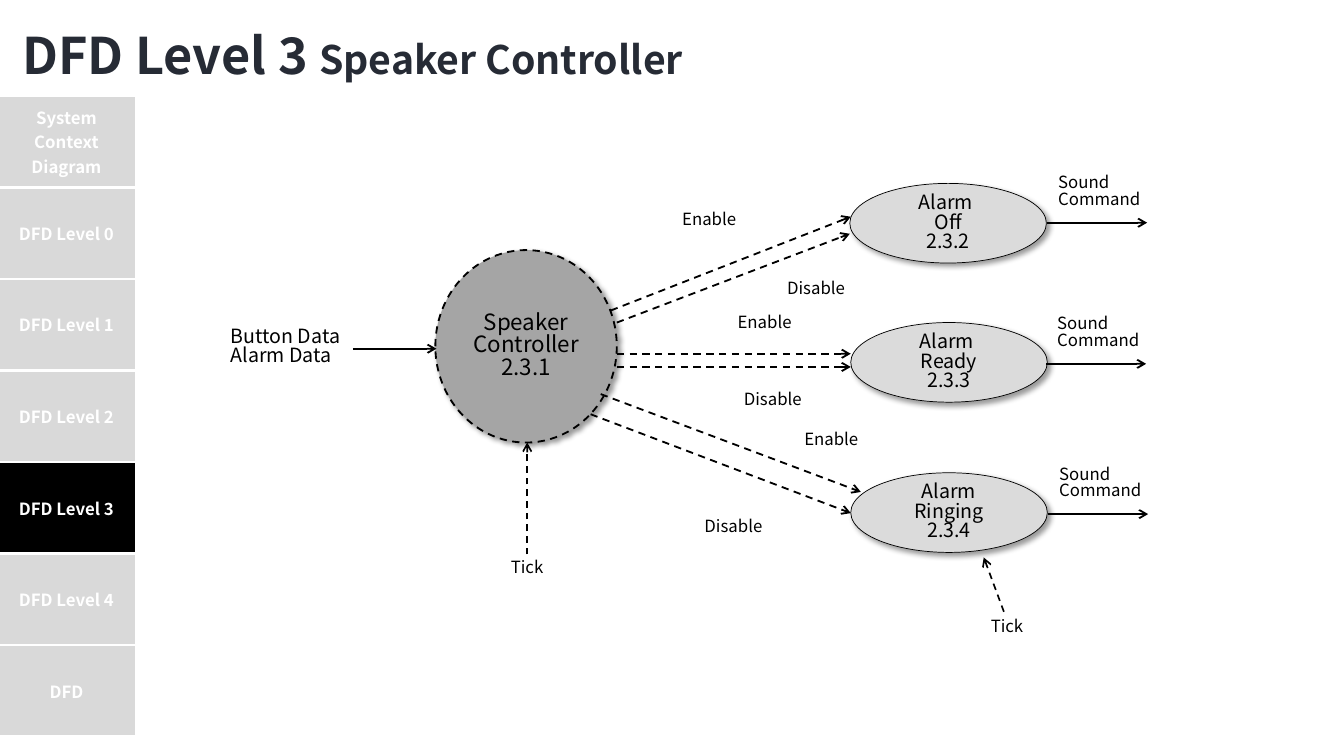
from pptx import Presentation
from pptx.dml.color import RGBColor as RGB
from pptx.enum.dml import MSO_LINE as Dash
from pptx.enum.shapes import MSO_CONNECTOR as Link, MSO_SHAPE as Form
from pptx.enum.text import MSO_ANCHOR as Anchor, MSO_AUTO_SIZE as Auto, PP_ALIGN as Align
from pptx.oxml import parse_xml as to_xml
from pptx.oxml.ns import nsdecls, qn
from pptx.util import Pt

FONT = "Noto Sans CJK KR"
INK = {
    "title": "262B35",
    "black": "000000",
    "white": "FFFFFF",
    "idle": "D9D9D9",
    "hub": "A5A5A5",
    "state": "DBDBDB",
}
STEPS = ["System Context Diagram", "DFD Level 0", "DFD Level 1", "DFD Level 2",
         "DFD Level 3", "DFD Level 4", "DFD"]
ACTIVE = "DFD Level 3"
STATES = [
    (607, 131, ["Alarm ", "Off", "2.3.2"], 748.1, 159.1),
    (607.7, 230.4, ["Alarm ", "Ready", "2.3.3"], 747.4, 259.9),
    (607.7, 337.7, ["Alarm Ringing", "2.3.4"], 748.8, 367.2),
]
SIGNALS = [
    (436.3, 221.8, 607.7, 154.8),
    (440.6, 230.4, 607, 167),
    (440.6, 252.7, 607.7, 252.7),
    (440.6, 262.1, 607.7, 262.1),
    (429.1, 281.5, 614.9, 351.4),
    (421.9, 295.9, 607.7, 366.5),
]
NOTES = [
    ("Enable", 480.2, 148.3),
    ("Disable", 555.1, 197.3),
    ("Enable", 519.8, 221.8),
    ("Disable", 524.2, 276.5),
    ("Enable", 567.4, 305.3),
    ("Disable", 496.1, 367.2),
    ("Tick", 357.8, 396.7),
    ("Tick", 700.6, 438.5),
]


def color(name):
    return RGB.from_string(INK[name])


def style(par, size, ink, bold=False, align=Align.LEFT, gap=None):
    par.font.name = FONT
    par.font.size = Pt(size)
    par.font.bold = bold
    par.font.color.rgb = color(ink)
    par.alignment = align
    par.line_spacing = gap


def write(frame, lines, size, align=Align.LEFT):
    frame.word_wrap = True
    frame.text = "\n".join(lines)
    for par in frame.paragraphs:
        style(par, size, "black", align=align, gap=0.83)


def label(slide, lines, x, y, w=60, h=21.6, size=12):
    box = slide.shapes.add_textbox(Pt(x), Pt(y), Pt(w), Pt(h))
    write(box.text_frame, lines, size)


def bubble(slide, lines, x, y, w, h, ink, size, width, dash=None):
    oval = slide.shapes.add_shape(Form.OVAL, Pt(x), Pt(y), Pt(w), Pt(h))
    oval.fill.solid()
    oval.fill.fore_color.rgb = color(ink)
    oval.line.color.rgb = color("black")
    oval.line.width = Pt(width)
    oval.line.dash_style = dash
    oval.shadow.inherit = False
    oval.element.spPr.find(qn("a:effectLst")).append(to_xml(
        f'<a:outerShdw {nsdecls("a")} blurRad="{Pt(4)}" dist="{Pt(3)}" dir="2700000">'
        f'<a:srgbClr val="{INK["black"]}"><a:alpha val="40000"/></a:srgbClr></a:outerShdw>'))
    oval.text_frame.vertical_anchor = Anchor.MIDDLE
    write(oval.text_frame, lines, size, Align.CENTER)


def arrow(slide, x, y, to_x, to_y, dash=None, width=1.3):
    link = slide.shapes.add_connector(Link.STRAIGHT, Pt(x), Pt(y), Pt(to_x), Pt(to_y))
    link.line.color.rgb = color("black")
    link.line.width = Pt(width)
    link.line.dash_style = dash
    props = link.element.spPr
    props.find(qn("a:ln")).append(to_xml(f'<a:tailEnd {nsdecls("a")} type="arrow"/>'))
    props.append(to_xml(f'<a:effectLst {nsdecls("a")}/>'))


def menu(slide):
    high = 65.4
    frame = slide.shapes.add_table(len(STEPS), 1, Pt(-2.2), Pt(68.4),
                                   Pt(99.4), Pt(high * len(STEPS)))
    table = frame.table
    table.first_row = table.horz_banding = False
    for row, step in zip(table.rows, STEPS):
        row.height = Pt(high)
        cell = row.cells[0]
        cell.text = step
        cell.vertical_anchor = Anchor.MIDDLE
        cell.fill.solid()
        cell.fill.fore_color.rgb = color("black" if step == ACTIVE else "idle")
        style(cell.text_frame.paragraphs[0], 12, "white", True, Align.CENTER)
        for spot, side in enumerate(["lnT", "lnB"]):
            cell._tc.get_or_add_tcPr().insert(spot, to_xml(
                f'<a:{side} {nsdecls("a")} w="{Pt(2.25)}"><a:solidFill>'
                f'<a:srgbClr val="{INK["white"]}"/></a:solidFill></a:{side}>'))


def head(slide):
    title = slide.shapes.title
    title.left, title.top, title.width, title.height = Pt(0.7), Pt(-4.3), Pt(959.8), Pt(64)
    frame = title.text_frame
    frame.auto_size = Auto.NONE
    frame.vertical_anchor = Anchor.MIDDLE
    par = frame.paragraphs[0]
    style(par, 36, "title", True, gap=1.5)
    par.add_run().text = " DFD Level 3 "
    part = par.add_run()
    part.text = "Speaker Controller"
    part.font.size = Pt(28)


def main():
    deck = Presentation()
    deck.slide_width, deck.slide_height = Pt(960), Pt(540)
    slide = deck.slides.add_slide(deck.slide_layouts[5])
    menu(slide)
    head(slide)
    bubble(slide, ["Speaker", "Controller", "2.3.1"], 311, 178.6, 129.6, 137.5,
           "hub", 16, 1.3, Dash.DASH)
    for x, y, lines, out_x, out_y in STATES:
        bubble(slide, lines, x, y, 140.4, 56.9, "state", 14, 0.5)
        arrow(slide, out_x, out_y, out_x + 71.3, out_y)
        label(slide, ["Sound Command"], out_x + 0.7, out_y - 37.4, 94.3, 36)
    for ends in SIGNALS:
        arrow(slide, *ends, Dash.DASH)
    arrow(slide, 252, 249.1, 311.8, 249.1)
    arrow(slide, 376.6, 396, 376.6, 316.1, Dash.DASH, 1.2)
    arrow(slide, 717.1, 437, 702.7, 398.2, Dash.DASH, 1.2)
    for text, x, y in NOTES:
        label(slide, [text], x, y)
    label(slide, ["Button Data", "Alarm Data"], 157.7, 230.4, 94.3, 41, 14)
    deck.save("out.pptx")


if __name__ == "__main__":
    main()
